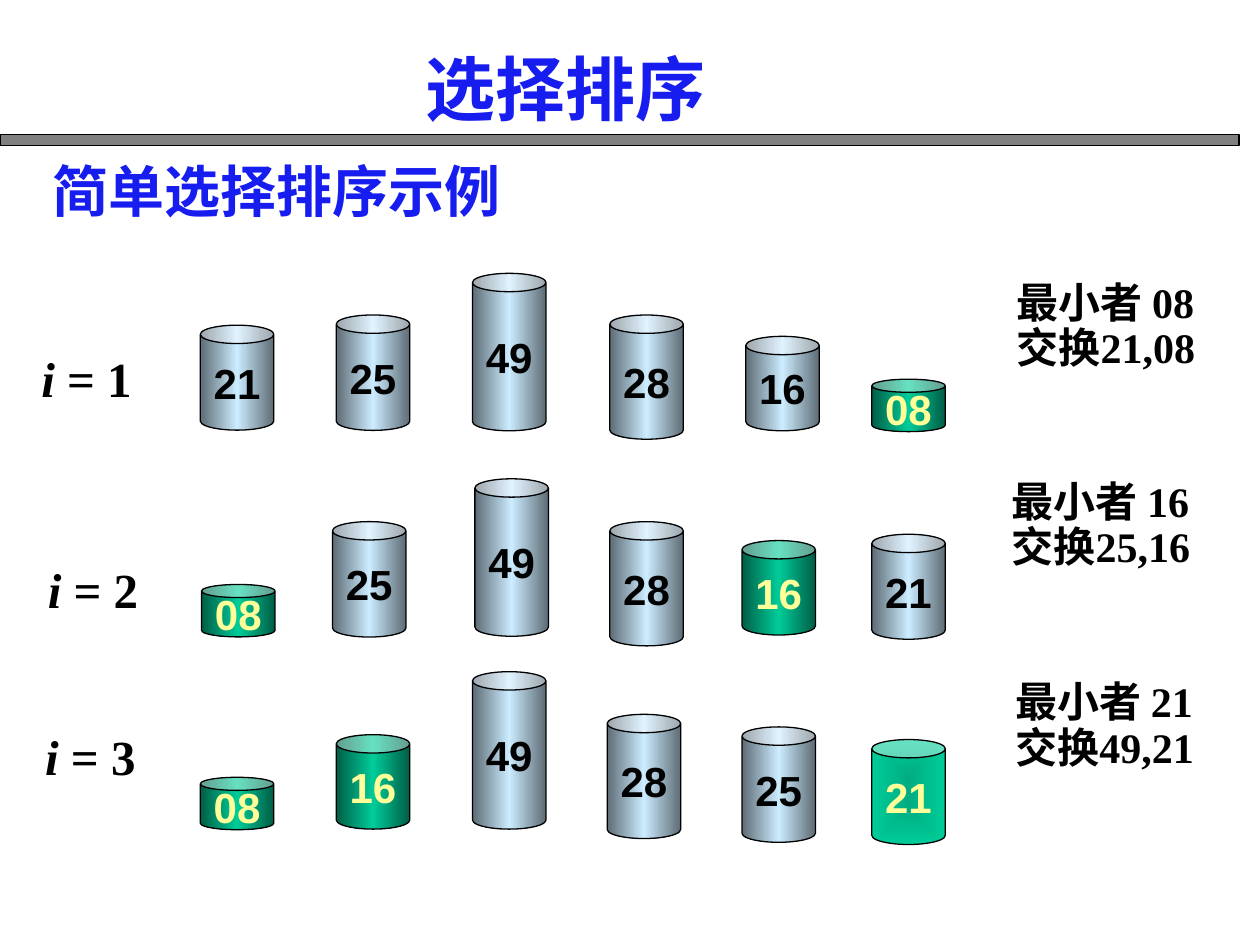
from lxml import etree
from pptx import Presentation
from pptx.dml.color import RGBColor
from pptx.enum import shapes, text
from pptx.oxml import parse_xml
from pptx.oxml.ns import nsdecls, qn
from pptx.util import Pt

COLORS = {"blue": "171CEF", "black": "000000", "gray": "808080", "yellow": "FFFF99",
          "steel": "5E6C75", "ice": "CCECFF", "pine": "005E46", "jade": "00CC99",
          "leaf": "00AE82"}
LINEAR = '<a:lin ang="0" scaled="1"/>'
CENTERED = ('<a:path path="rect"><a:fillToRect l="50000" t="50000" '
            'r="50000" b="50000"/></a:path>')
STYLES = {
    "plain": (["steel", "ice", "steel"], LINEAR, "black"),
    "chosen": (["pine", "jade", "pine"], LINEAR, "yellow"),
    "last": (["leaf", "jade"], CENTERED, "yellow"),
}
HEIGHTS = {"08": 30, "16": 54, "21": 60, "25": 66, "28": 71, "49": 90}
CAN_WIDTH = 42
ROWS = [
    ("= 1", (16.5, 195.8), ["最小者 08", "交换21,08"], (573.8, 157.7), [
        ("21", 114.5, 185.8, "plain"), ("25", 192.2, 180, "plain"),
        ("49", 270, 156.2, "plain"), ("28", 348.5, 180, "plain"),
        ("16", 426.2, 192.2, "plain"), ("08", 498.2, 216.7, "chosen")]),
    ("= 2", (20.2, 316.1), ["最小者 16", "交换25,16"], (571, 271.4), [
        ("08", 115.2, 334, "chosen"), ("25", 190, 298.1, "plain"),
        ("49", 271.4, 273.6, "plain"), ("28", 348.5, 298.1, "plain"),
        ("16", 424, 308.9, "chosen"), ("21", 498.2, 305.3, "plain")]),
    ("= 3", (18.7, 411.8), ["最小者 21", "交换49,21"], (573.1, 385.9), [
        ("08", 114.5, 444.2, "chosen"), ("16", 192.2, 419.8, "chosen"),
        ("49", 270, 383.8, "plain"), ("28", 347, 408.2, "plain"),
        ("25", 424, 415.4, "plain"), ("21", 498.2, 422.6, "last")]),
]


def add_span(para, words, color, **formats):
    span = para.add_run()
    span.text = words
    for name, value in {"bold": True, **formats}.items():
        setattr(span.font, name, value)
    span.font.color.rgb = RGBColor.from_string(COLORS[color])
    latin = span.font._element.find(qn("a:latin"))
    east = etree.Element(qn("a:ea"), typeface="Noto Sans CJK SC")
    latin.addnext(east)
    return span


def add_box(left, top, width, height, wrap):
    box = page.shapes.add_textbox(Pt(left), Pt(top), Pt(width), Pt(height))
    box.text_frame.word_wrap = wrap
    box.text_frame.auto_size = text.MSO_AUTO_SIZE.SHAPE_TO_FIT_TEXT
    return box.text_frame


deck = Presentation()
deck.slide_width, deck.slide_height = Pt(720), Pt(540)
page = deck.slides.add_slide(deck.slide_layouts[6])

bar = page.shapes.add_shape(shapes.MSO_SHAPE.RECTANGLE, Pt(0), Pt(77), Pt(708), Pt(6))
bar.shadow.inherit = False
bar.fill.solid()
bar.fill.fore_color.rgb = RGBColor.from_string(COLORS["gray"])
bar.line.color.rgb = RGBColor.from_string(COLORS["black"])
bar.line.width = Pt(0.75)

title = add_box(236.2, 22.3, 228.2, 55.4, True)
span = add_span(title.paragraphs[0], "选择排序", "blue", size=Pt(40), name="Noto Sans CJK SC")
shadow = parse_xml(
    f'<a:effectLst {nsdecls("a")}><a:outerShdw dist="35921" dir="2700000">'
    f'<a:srgbClr val="{COLORS["gray"]}"/></a:outerShdw></a:effectLst>')
span.font._element.find(qn("a:solidFill")).addnext(shadow)

heading = add_box(23, 85.7, 383.8, 46.1, True)
add_span(heading.paragraphs[0], "简单选择排序示例", "blue", size=Pt(32), name="Times New Roman")

for step, step_at, notes, notes_at, cans in ROWS:
    label = add_box(*step_at, 66.2, 41, False).paragraphs[0]
    for words, italic in (("i ", True), (step, False)):
        add_span(label, words, "black", size=Pt(28), name="Times New Roman", italic=italic)

    frame = add_box(*notes_at, 121.7, 59, False)
    for index, words in enumerate(notes):
        para = frame.add_paragraph() if index else frame.paragraphs[0]
        para.line_spacing = 0.9
        add_span(para, words, "black", size=Pt(24), name="Times New Roman")

    for value, left, top, style in cans:
        stops, direction, ink = STYLES[style]
        can = page.shapes.add_shape(shapes.MSO_SHAPE.CAN, Pt(left), Pt(top),
                                    Pt(CAN_WIDTH), Pt(HEIGHTS[value]))
        can.shadow.inherit = False
        can.line.color.rgb = RGBColor.from_string(COLORS["black"])
        can.line.width = Pt(0.75)
        marks = "".join(
            f'<a:gs pos="{100000 * index // (len(stops) - 1)}">'
            f'<a:srgbClr val="{COLORS[stop]}"/></a:gs>'
            for index, stop in enumerate(stops))
        can._element.spPr.find(qn("a:prstGeom")).addnext(parse_xml(
            f'<a:gradFill {nsdecls("a")} rotWithShape="1">'
            f'<a:gsLst>{marks}</a:gsLst>{direction}</a:gradFill>'))
        can.text_frame.word_wrap = False
        can.text_frame.vertical_anchor = text.MSO_ANCHOR.MIDDLE
        para = can.text_frame.paragraphs[0]
        para.alignment = text.PP_ALIGN.CENTER
        add_span(para, value, ink, size=Pt(24), name="Arial")

deck.save("out.pptx")
